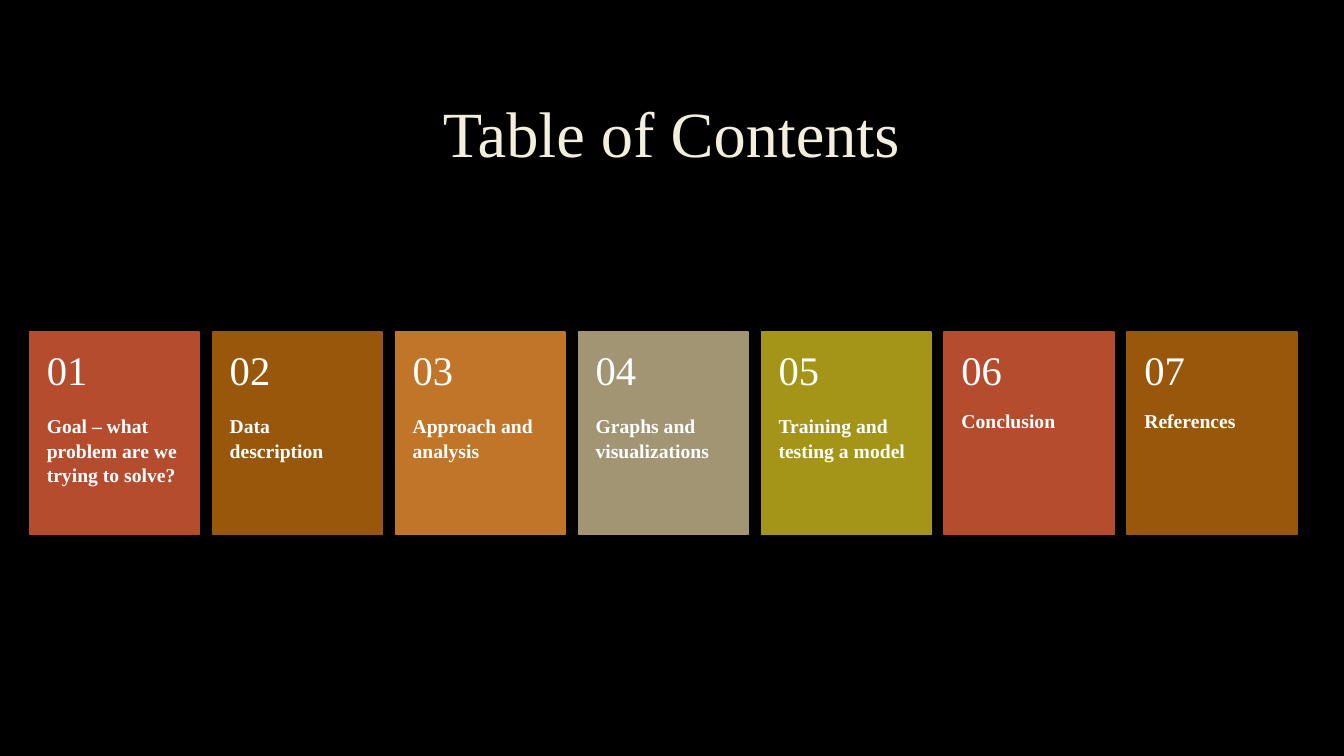
from dataclasses import dataclass

from lxml import etree
from pptx import Presentation
from pptx import util as u
from pptx.dml.color import RGBColor
from pptx.enum import shapes, text
from pptx.oxml import ns

FACE = "Times New Roman"
LEFT, TOP, STEP = 0.75, 8.36, 4.61
WIDTH, HEIGHT, HEAD = 4.27, 5.11, 2.06
SIDE, PAD, FOOT = 0.43, 0.46, 0.91


@dataclass
class Card:
    label: str
    fill: str


@dataclass
class Style:
    size: float
    color: str
    bold: bool
    space: float


CARDS = [
    Card("Goal – what problem are we trying to solve?", "B54C2D"),
    Card("Data description", "99570C"),
    Card("Approach and analysis", "C17529"),
    Card("Graphs and visualizations", "A19574"),
    Card("Training and testing a model", "A49518"),
    Card("Conclusion", "B54C2D"),
    Card("References", "99570C"),
]
TITLE = Style(46, "F4EEDC", False, 0.9)
NUMBER = Style(29, "FFFFFF", False, 0.9)
LABEL = Style(14, "FFFFFF", True, 1.04)


def paint(target, color: str) -> None:
    target.solid()
    target.fore_color.rgb = RGBColor.from_string(color)


def write(frame, words: str, style: Style, anchor):
    frame.word_wrap = True
    frame.vertical_anchor = anchor
    para = frame.paragraphs[0]
    para.text = words
    para.line_spacing = style.space
    font = para.font
    font.name, font.size, font.bold = FACE, u.Pt(style.size), style.bold
    paint(font.fill, style.color)
    return para


def add_text(group, left: float, top: float, height: float, words: str,
             style: Style, anchor, above: float, below: float) -> None:
    box = group.shapes.add_textbox(u.Cm(left), u.Cm(top), u.Cm(WIDTH), u.Cm(height))
    frame = box.text_frame
    frame.margin_left = frame.margin_right = u.Cm(SIDE)
    frame.margin_top, frame.margin_bottom = u.Cm(above), u.Cm(below)
    write(frame, words, style, anchor)


def add_card(group, index: int, card: Card) -> None:
    left = LEFT + index * STEP
    tile = group.shapes.add_shape(shapes.MSO_SHAPE.RECTANGLE, u.Cm(left), u.Cm(TOP),
                                  u.Cm(WIDTH), u.Cm(HEIGHT))
    tile.shadow.inherit = False
    paint(tile.fill, card.fill)
    paint(tile.line.fill, card.fill)
    tile.line.width = u.Pt(1.25)
    add_text(group, left, TOP + HEAD, HEIGHT - HEAD, card.label, LABEL,
             text.MSO_ANCHOR.TOP, 0, FOOT)
    add_text(group, left, TOP, HEAD, f"{index + 1:02}", NUMBER,
             text.MSO_ANCHOR.MIDDLE, PAD, PAD)


def outline(para, color: str, width: float, alpha: int) -> None:
    props = para._p.find(".//" + ns.qn("a:defRPr"))
    line = etree.Element(ns.qn("a:ln"), w=str(u.Pt(width)))
    fill = etree.SubElement(line, ns.qn("a:solidFill"))
    tint = etree.SubElement(fill, ns.qn("a:srgbClr"), val=color)
    etree.SubElement(tint, ns.qn("a:alpha"), val=str(alpha * 1000))
    props.insert(0, line)


def main() -> None:
    deck = Presentation()
    deck.slide_width, deck.slide_height = u.Cm(33.87), u.Cm(19.05)
    slide = deck.slides.add_slide(deck.slide_layouts.get_by_name("Title Only"))
    paint(slide.background.fill, "000000")

    title = slide.shapes.title
    title.left, title.top = u.Cm(2.54), u.Cm(1.7)
    title.width, title.height = u.Cm(28.75), u.Cm(3.5)
    para = write(title.text_frame, "Table of Contents", TITLE, text.MSO_ANCHOR.MIDDLE)
    para.alignment = text.PP_ALIGN.CENTER
    outline(para, "404040", 0.75, 10)

    group = slide.shapes.add_group_shape()
    for index, card in enumerate(CARDS):
        add_card(group, index, card)
    deck.save("out.pptx")


if __name__ == "__main__":
    main()
